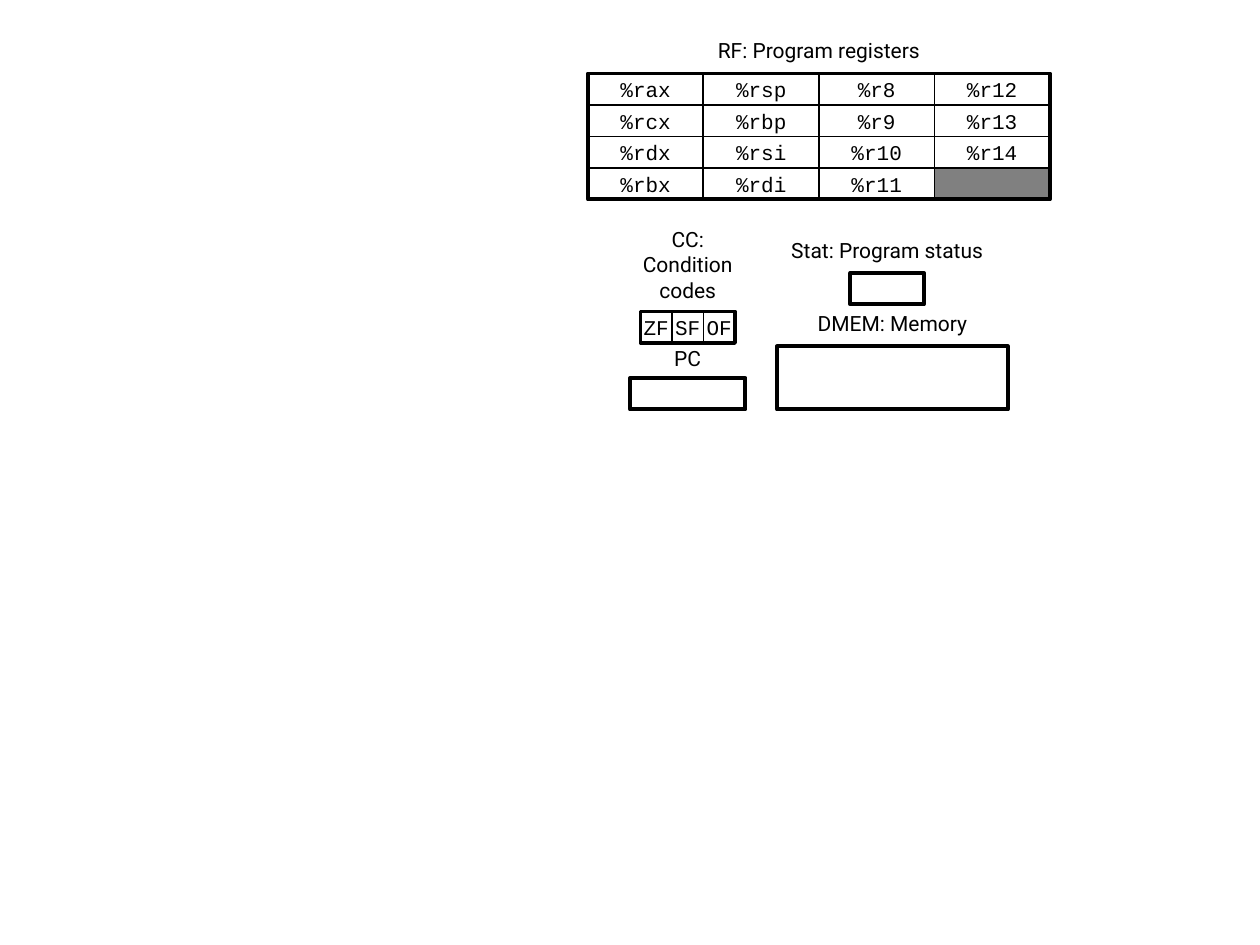
from pptx import Presentation
from pptx.dml.color import RGBColor
from pptx.enum.shapes import MSO_SHAPE
from pptx.enum.text import MSO_ANCHOR, MSO_AUTO_SIZE, PP_ALIGN
from pptx.util import Pt

RECTANGLE = MSO_SHAPE.RECTANGLE
MIDDLE = MSO_ANCHOR.MIDDLE
CENTER = PP_ALIGN.CENTER
GROW = MSO_AUTO_SIZE.SHAPE_TO_FIT_TEXT

BLACK, WHITE, GRAY = "000000", "FFFFFF", "808080"
LABEL_FONT, CODE_FONT = "Roboto", "Courier New"
ROW_HEIGHT = 18
LABEL_HEIGHT = 21.6

REGISTERS = [
    ["%rax", "%rsp", "%r8", "%r12"],
    ["%rcx", "%rbp", "%r9", "%r13"],
    ["%rdx", "%rsi", "%r10", "%r14"],
    ["%rbx", "%rdi", "%r11", ""],
]
FLAGS = [["ZF", "SF", "OF"]]


def color(value):
    return RGBColor.from_string(value)


def write(shape, text, font_name):
    frame = shape.text_frame
    frame.text = text
    para = frame.paragraphs[0]
    para.alignment = CENTER
    font = para.runs[0].font
    font.name = font_name
    font.size = Pt(12)
    font.color.rgb = color(BLACK)


def add_box(shapes, left, top, width, height, line_width=2.25, fill=None):
    box = shapes.add_shape(RECTANGLE, Pt(left), Pt(top), Pt(width), Pt(height))
    box.shadow.inherit = False
    box.line.color.rgb = color(BLACK)
    box.line.width = Pt(line_width)
    if fill:
        box.fill.solid()
        box.fill.fore_color.rgb = color(fill)
    else:
        box.fill.background()
    return box


def add_label(shapes, text, left, top, width, height=LABEL_HEIGHT):
    label = shapes.add_textbox(Pt(left), Pt(top), Pt(width), Pt(height))
    label.text_frame.word_wrap = True
    label.text_frame.auto_size = GROW
    write(label, text, LABEL_FONT)


def add_cells(shapes, rows, left, top, cell_width):
    """Draw a grid of named cells in a thick frame; an unnamed cell is gray."""
    for row, names in enumerate(rows):
        for column, name in enumerate(names):
            cell = add_box(shapes, left + column * cell_width, top + row * ROW_HEIGHT,
                           cell_width, ROW_HEIGHT, 1, WHITE if name else GRAY)
            if name:
                cell.text_frame.word_wrap = False
                cell.text_frame.vertical_anchor = MIDDLE
                write(cell, name, CODE_FONT)
    add_box(shapes, left, top, cell_width * len(rows[0]), ROW_HEIGHT * len(rows))


def add_register_file(page, left, top, width):
    add_label(page.shapes, "RF: Program registers", left, top, width)
    add_cells(page.shapes, REGISTERS, left, top + 24, width / len(REGISTERS[0]))


def add_condition_codes(page, left, top, width):
    add_label(page.shapes, "CC: Condition codes", left, top, width, 50.4)
    group = page.shapes.add_group_shape()
    add_cells(group.shapes, FLAGS, left + 6, top + 52, ROW_HEIGHT)


def add_program_counter(page, left, top, width):
    add_label(page.shapes, "PC", left, top, width)
    add_box(page.shapes, left, top + 22, width, ROW_HEIGHT)


def add_status(page, left, top, width):
    add_label(page.shapes, "Stat: Program status", left, top, width)
    add_box(page.shapes, left + 54, top + 24, 42, ROW_HEIGHT)


def add_memory(page, left, top, width):
    add_label(page.shapes, "DMEM: Memory", left, top, width)
    add_box(page.shapes, left, top + 24, width, 36)


def main():
    deck = Presentation()
    deck.slide_width, deck.slide_height = Pt(720), Pt(540)
    page = deck.slides.add_slide(deck.slide_layouts[6])
    add_register_file(page, 336, 18, 264)
    add_condition_codes(page, 360, 126, 66)
    add_program_counter(page, 360, 194, 66)
    add_status(page, 432, 132, 150)
    add_memory(page, 444, 174, 132)
    deck.save("out.pptx")


if __name__ == "__main__":
    main()
